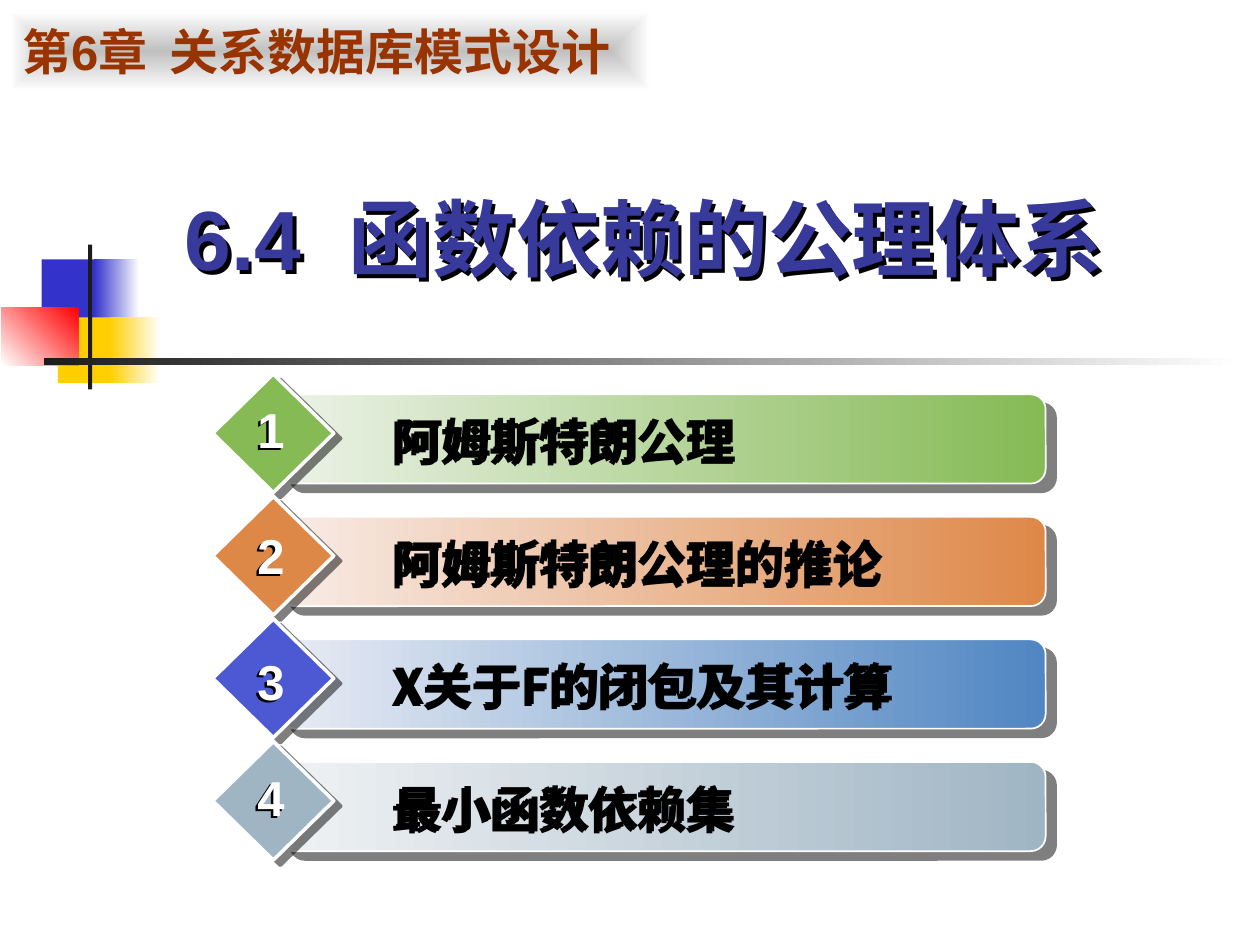
from lxml import etree
from pptx import Presentation
from pptx.dml.color import RGBColor
from pptx.enum import shapes, text
from pptx.oxml.ns import qn
from pptx.util import Cm, Pt

LATIN = "Arial"
CJK = "Noto Sans CJK SC"
ROW_TOP, ROW_PITCH = 7.54, 2.47

# label, number, number top, bar start colour, bar end colour, diamond colour
TOPICS = [
    ("阿姆斯特朗公理", "1", 7.92, "ECF2E8", "85BA54", "85BA54"),
    ("阿姆斯特朗公理的推论", "2", 10.46, "F8ECE7", "DE8848", "DE8848"),
    ("X关于F的闭包及其计算", "3", 13, "E8ECF4", "5086C2", "4C59D2"),
    ("最小函数依赖集", "4", 15.34, "EFF2F4", "A0B5C4", "A0B5C4"),
]

# left, top, width, height, colours, gradient angle
ORNAMENT = [
    (0.84, 5.23, 1.22, 1.32, ["3333CC"], 0),
    (1.9, 5.23, 0.91, 1.32, ["3333CC", "FFFFFF"], 0),
    (1.17, 6.4, 1.17, 1.32, ["FFCF01"], 0),
    (2.21, 6.4, 1.02, 1.32, ["FFCF01", "FFFFFF"], 0),
    (0.03, 6.2, 1.55, 1.17, ["FFFFFF", "FF0000"], 45),
    (1.78, 4.93, 0.08, 2.92, ["1C1C1C"], 0),
    (0.89, 7.21, 24.16, 0.15, ["1C1C1C", "FFFFFF"], 0),
]


def rgb(value):
    return RGBColor.from_string(value)


def paint(shape, colours, angle=0):
    """Fill with one colour, or with a gradient between two."""
    if len(colours) == 1:
        shape.fill.solid()
        shape.fill.fore_color.rgb = rgb(colours[0])
        return
    shape.fill.gradient()
    shape.fill.gradient_angle = angle
    for stop, colour in zip(shape.fill.gradient_stops, colours):
        stop.color.rgb = rgb(colour)


def radiate(shape):
    """Turn a linear gradient into one that spreads from the centre."""
    linear = shape._element.spPr.find(".//" + qn("a:lin"))
    radial = etree.Element(qn("a:path"), path="shape")
    etree.SubElement(radial, qn("a:fillToRect"), l="50000", t="50000", r="50000", b="50000")
    linear.getparent().replace(linear, radial)


def cast_shadow(shape, distance, direction, opacity=100):
    shape.shadow.inherit = False
    effects = shape._element.spPr.find(qn("a:effectLst"))
    shadow = etree.SubElement(
        effects, qn("a:outerShdw"), blurRad="0", dist=str(Pt(distance)),
        dir=str(direction * 60000), algn="ctr", rotWithShape="0")
    colour = etree.SubElement(shadow, qn("a:srgbClr"), val="000000")
    etree.SubElement(colour, qn("a:alpha"), val=str(opacity * 1000))


def add_block(parent, kind, box, colours, angle=0, outline=None):
    block = parent.add_shape(kind, *map(Cm, box))
    block.shadow.inherit = False
    paint(block, colours, angle)
    if outline:
        block.line.color.rgb = rgb("FFFFFF")
        block.line.width = Pt(outline)
    else:
        block.line.fill.background()
    return block


def write(shape, words, size, colour, font=LATIN, align=text.PP_ALIGN.LEFT,
          anchor=text.MSO_ANCHOR.TOP, wrap=True):
    frame = shape.text_frame
    frame.word_wrap = wrap
    frame.vertical_anchor = anchor
    paragraph = frame.paragraphs[0]
    paragraph.alignment = align
    run = paragraph.add_run()
    run.text = words
    run.font.size = Pt(size)
    run.font.bold = True
    run.font.color.rgb = rgb(colour)
    run.font.name = font
    etree.SubElement(run.font._element, qn("a:ea"), typeface=CJK)


def add_ornament(slide):
    group = slide.shapes.add_group_shape()
    for *box, colours, angle in ORNAMENT:
        add_block(group.shapes, shapes.MSO_SHAPE.RECTANGLE, box, colours, angle)


def place_title(slide):
    title = slide.shapes.title
    title.left, title.top, title.width, title.height = map(Cm, (1.09, 3.33, 23.8, 2.9))
    write(title, "6.4  函数依赖的公理体系", 48, "37399B",
          align=text.PP_ALIGN.CENTER, anchor=text.MSO_ANCHOR.MIDDLE)
    cast_shadow(title, 2.8, 45)
    slide.shapes._spTree.append(title._element)  # in front of the ornament


def add_chapter(slide):
    chapter = add_block(slide.shapes, shapes.MSO_SHAPE.RECTANGLE,
                        (0.2, 0.23, 12.9, 1.6), ["C0C0C0", "FFFFFF"])
    radiate(chapter)
    write(chapter, "第6章  关系数据库模式设计", 28, "993300",
          anchor=text.MSO_ANCHOR.MIDDLE)


def add_topic(slide, top, label, number, number_top, pale, strong, accent):
    row = slide.shapes.add_group_shape().shapes
    bar = add_block(row, shapes.MSO_SHAPE.ROUNDED_RECTANGLE,
                    (5.64, top + 0.41, 15.44, 1.8), [pale, strong], outline=1)
    cast_shadow(bar, 7.8, 40, 50)
    diamond = add_block(row, shapes.MSO_SHAPE.DIAMOND,
                        (4.29, top, 2.44, 2.39), [accent], outline=2)
    cast_shadow(diamond, 5, 37, 50)
    caption = row.add_textbox(*map(Cm, (7.7, top + 0.61, 12.19, 1.45)))
    write(caption, label, 28, "000000", font=CJK)
    badge = row.add_textbox(*map(Cm, (4.93, number_top, 1.07, 1.45)))
    write(badge, number, 28, "FFFFFF", align=text.PP_ALIGN.CENTER, wrap=False)
    for box in (caption, badge):
        cast_shadow(box, 2, 135)


def main():
    deck = Presentation()
    deck.slide_width, deck.slide_height = Cm(25.4), Cm(19.05)
    slide = deck.slides.add_slide(deck.slide_layouts[5])
    add_ornament(slide)
    place_title(slide)
    add_chapter(slide)
    for index, topic in enumerate(TOPICS):
        add_topic(slide, ROW_TOP + index * ROW_PITCH, *topic)
    deck.save("out.pptx")


if __name__ == "__main__":
    main()
